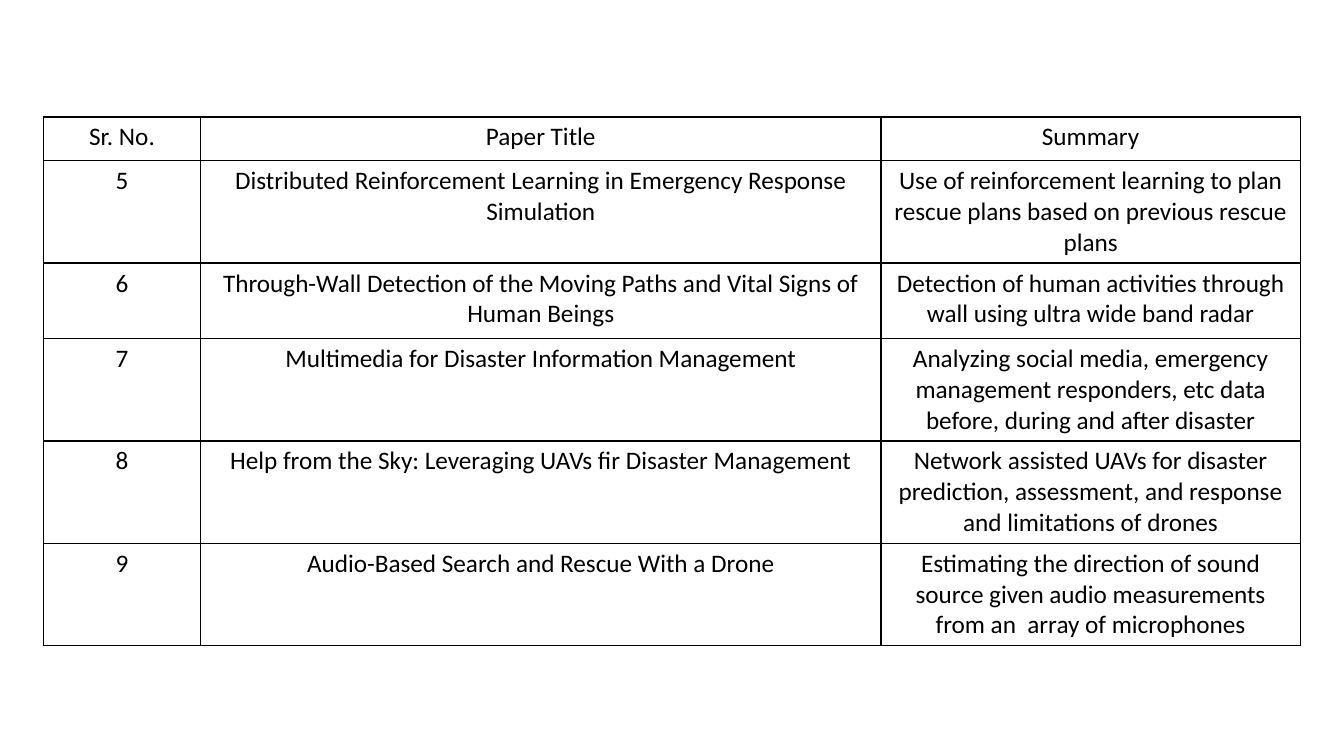
import pptx
import pptx.dml.color
import pptx.enum.text
import pptx.oxml.ns
import pptx.util
from dataclasses import dataclass
from lxml import etree

PAPERS = [
    ("Sr. No.", "Paper Title", "Summary"),
    ("5", "Distributed Reinforcement Learning in Emergency Response Simulation",
     "Use of reinforcement learning to plan rescue plans based on previous rescue plans"),
    ("6", "Through-Wall Detection of the Moving Paths and Vital Signs of Human Beings",
     "Detection of human activities through wall using ultra wide band radar"),
    ("7", "Multimedia for Disaster Information Management",
     "Analyzing social media, emergency management responders, etc data before, "
     "during and after disaster"),
    ("8", "Help from the Sky: Leveraging UAVs fir Disaster Management",
     "Network assisted UAVs for disaster prediction, assessment, and response "
     "and limitations of drones"),
    ("9", "Audio-Based Search and Rescue With a Drone",
     "Estimating the direction of sound source given audio measurements "
     "from an  array of microphones"),
]

SLIDE_SIZE = (960, 540)
TABLE_LEFT, TABLE_TOP = 31, 83.5
COLUMN_WIDTHS = (112.3, 486, 299.5)
HEADER_HEIGHT, PAPER_HEIGHT = 31.2, 54


@dataclass(frozen=True)
class Theme:
    font: str = "Calibri"
    text_size: float = 18
    border_width: float = 1
    ink: str = "000000"


THEME = Theme()


def add_borders(cell):
    properties = cell._tc.get_or_add_tcPr()
    for side in ("a:lnL", "a:lnR", "a:lnT", "a:lnB"):
        line = etree.SubElement(properties, pptx.oxml.ns.qn(side),
                                w=str(pptx.util.Pt(THEME.border_width)))
        fill = etree.SubElement(line, pptx.oxml.ns.qn("a:solidFill"))
        etree.SubElement(fill, pptx.oxml.ns.qn("a:srgbClr"), val=THEME.ink)


def fill_cell(cell, text):
    add_borders(cell)
    cell.fill.background()
    cell.text = text
    paragraph = cell.text_frame.paragraphs[0]
    paragraph.alignment = pptx.enum.text.PP_ALIGN.CENTER
    paragraph.font.name = THEME.font
    paragraph.font.size = pptx.util.Pt(THEME.text_size)
    paragraph.font.bold = False
    paragraph.font.color.rgb = pptx.dml.color.RGBColor.from_string(THEME.ink)


def add_paper_table(slide):
    row_heights = [HEADER_HEIGHT] + [PAPER_HEIGHT] * (len(PAPERS) - 1)
    frame = slide.shapes.add_table(
        len(PAPERS), len(COLUMN_WIDTHS),
        pptx.util.Pt(TABLE_LEFT), pptx.util.Pt(TABLE_TOP),
        pptx.util.Pt(sum(COLUMN_WIDTHS)), pptx.util.Pt(sum(row_heights)))
    table = frame.table
    table.first_row = False
    table.horz_banding = False
    for column, width in zip(table.columns, COLUMN_WIDTHS):
        column.width = pptx.util.Pt(width)
    for row, height, texts in zip(table.rows, row_heights, PAPERS):
        row.height = pptx.util.Pt(height)
        for cell, text in zip(row.cells, texts):
            fill_cell(cell, text)


def main():
    presentation = pptx.Presentation()
    presentation.slide_width, presentation.slide_height = map(pptx.util.Pt, SLIDE_SIZE)
    blank_layout = presentation.slide_layouts.get_by_name("Blank")
    add_paper_table(presentation.slides.add_slide(blank_layout))
    presentation.save("out.pptx")


if __name__ == "__main__":
    main()
